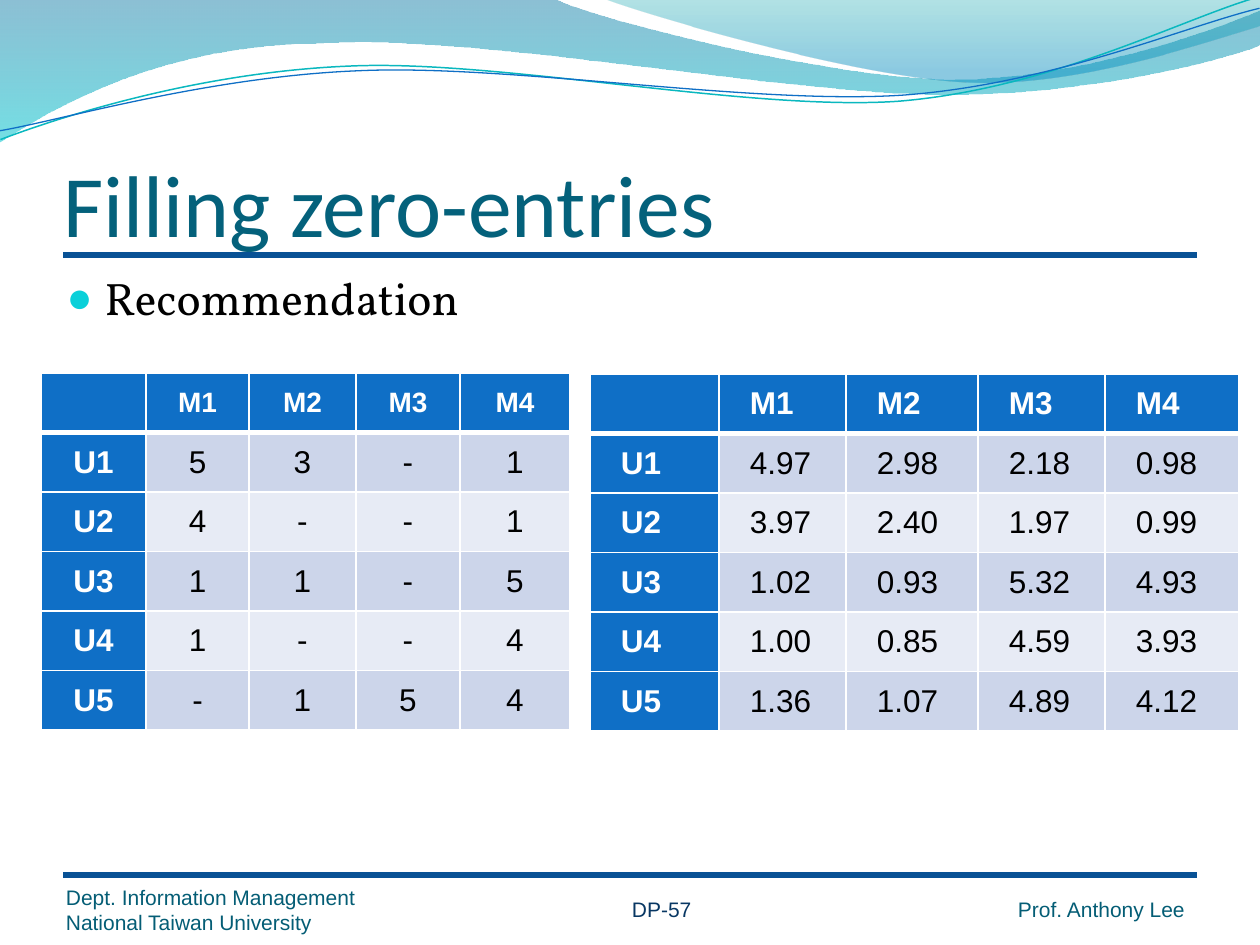
import pptx
import pptx.util
from lxml import etree
from pptx.dml.color import RGBColor
from pptx.enum.shapes import MSO_CONNECTOR
from pptx.enum.text import MSO_ANCHOR, MSO_AUTO_SIZE, PP_ALIGN
from pptx.oxml.ns import qn

COLORS = {
    "title": "04617B", "rule": "095295", "footer": "045D75", "page": "083763",
    "bullet": "0BD0D9", "text": "000000", "white": "FFFFFF",
    "head": "0F6FC6", "odd": "CCD5EA", "even": "E7EBF5",
    "teal_line": "0AB8BF", "blue_line": "0F6FC6",
    "deep_blue": "0074A1", "aqua": "00C6CF", "teal": "00A1A9", "sky": "008BBF",
}
TITLE = "Filling zero-entries"
BULLET = "Recommendation"
FOOTERS = [  # text, box, colour, margins (x, y), anchor
    ("Dept. Information Management\nNational Taiwan University",
     (66, 885, 316, 50), "footer", (0, 0), MSO_ANCHOR.BOTTOM),
    ("Prof. Anthony Lee", (1018, 872, 179, 50), "footer", (0, 0), MSO_ANCHOR.BOTTOM),
    ("DP-57", (619, 891, 110, 38), "page", (13, 6), MSO_ANCHOR.TOP),
]
RULES_Y = [255, 875]
HEADER = ["", "M1", "M2", "M3", "M4"]
TABLES = [
    {"left": 41, "top": 373, "cols": [105, 103, 107, 104, 110],
     "head_size": 16, "align": PP_ALIGN.CENTER,
     "rows": [["U1", "5", "3", "-", "1"],
              ["U2", "4", "-", "-", "1"],
              ["U3", "1", "1", "-", "5"],
              ["U4", "1", "-", "-", "4"],
              ["U5", "-", "1", "5", "4"]]},
    {"left": 590, "top": 374, "cols": [129, 127, 132, 127, 134],
     "head_size": 18, "align": PP_ALIGN.LEFT,
     "rows": [["U1", "4.97", "2.98", "2.18", "0.98"],
              ["U2", "3.97", "2.40", "1.97", "0.99"],
              ["U3", "1.02", "0.93", "5.32", "4.93"],
              ["U4", "1.00", "0.85", "4.59", "3.93"],
              ["U5", "1.36", "1.07", "4.89", "4.12"]]},
]
TABLE_HEIGHT = 357
# Outlines: a pair is a straight step, a six-tuple is a Bezier step.
# Gradient stops: position, colour, opacity in percent.
WAVES = [
    ([(0, -1), (554, -1), (600, 21, 837, 79, 955, 79), (1075, 79, 1207, 33, 1260, 11),
      (1261, 45), (1239, 55, 1096, 96, 940, 94), (784, 94, 481, 35, 324, 43),
      (163, 44, 58, 105, -1, 142)],
     [(0, "deep_blue", 45), (1, "aqua", 55)]),
    ([(604, -1), (641, 14, 859, 78, 969, 82), (1079, 87, 1211, 40, 1260, 26), (1260, 0)],
     [(0, "teal", 30), (0.8, "sky", 45)]),
]
STRAND_ROTATION = 357.3
STRANDS = [
    ([(-2, 110), (59, 90, 199, 52, 350, 53), (499, 53, 745, 117, 896, 114),
      (1049, 109, 1184, 45, 1260, 27)], "teal_line", 0.85),
    ([(-2, 101), (57, 94, 207, 57, 358, 58), (509, 58, 750, 111, 902, 108),
      (1052, 104, 1188, 52, 1262, 38)], "blue_line", 0.75),
]


def px(n):
    return pptx.util.Emu(round(n * 914400 / 126))


def rgb(name):
    return RGBColor.from_string(COLORS[name])


def sub(parent, tag, **attrs):
    return etree.SubElement(parent, qn(tag), attrs)


def set_font(p, name, size, color, bold=False):
    p.font.name, p.font.size, p.font.bold = name, pptx.util.Pt(size), bold
    p.font.color.rgb = rgb(color)


def set_margins(frame, x, y):
    frame.margin_left = frame.margin_right = px(x)
    frame.margin_top = frame.margin_bottom = px(y)


def place(sp, left, top, width, height):
    sp.left, sp.top, sp.width, sp.height = map(px, (left, top, width, height))


def add_outline(s, steps, close):
    """Build a freeform through all points, then join each Bezier step's three into a curve."""
    pts = [(px(x), px(y)) for step in steps for x, y in zip(step[::2], step[1::2])]
    builder = s.shapes.build_freeform(*pts[0])
    builder.add_line_segments(pts[1:], close=close)
    sp = builder.convert_to_shape()
    sp.shadow.inherit = False
    segments = iter(list(sp.element.iter(qn("a:lnTo"))))
    for step in steps[1:]:
        first = next(segments)
        if len(step) == 6:
            curve = etree.Element(qn("a:cubicBezTo"))
            first.addprevious(curve)
            for segment in (first, next(segments), next(segments)):
                curve.append(segment[0])
                segment.getparent().remove(segment)
    return sp


def add_wave(s, steps, stops):
    sp = add_outline(s, steps, True)
    sp.line.fill.background()
    sp.fill.gradient()
    sp.fill.gradient_angle = 270
    for stop, (position, color, _) in zip(sp.fill.gradient_stops, stops):
        stop.position = position
        stop.color.rgb = rgb(color)
    for clr, (_, _, opacity) in zip(sp.element.spPr.iter(qn("a:srgbClr")), stops):
        sub(clr, "a:alpha", val=str(opacity * 1000))


def add_strand(s, steps, color, width):
    sp = add_outline(s, steps, False)
    sp.rotation = STRAND_ROTATION
    sp.fill.background()
    sp.line.color.rgb, sp.line.width = rgb(color), pptx.util.Pt(width)


def add_rule(s, y):
    line = s.shapes.add_connector(MSO_CONNECTOR.STRAIGHT, px(63), px(y), px(1197), px(y))
    line.line.color.rgb, line.line.width = rgb("rule"), pptx.util.Pt(3)
    sub(line.element.spPr, "a:effectLst")


def add_footer(s, text, box, color, margins, anchor):
    tf = s.shapes.add_textbox(*map(px, box)).text_frame
    tf.word_wrap, tf.vertical_anchor = True, anchor
    set_margins(tf, *margins)
    tf.text = text
    for p in tf.paragraphs:
        set_font(p, "Arial", 12, color)


def set_borders(cell, widths):
    """Draw white borders, widths in points by side, ahead of the cell's fill."""
    tcPr = cell._tc.get_or_add_tcPr()
    for i, side in enumerate("LRTB"):
        ln = sub(tcPr, f"a:ln{side}", w=str(pptx.util.Pt(widths.get(side, 1))))
        sub(sub(ln, "a:solidFill"), "a:srgbClr", val=COLORS["white"])
        tcPr.insert(i, ln)


def add_ratings(s, left, top, cols, head_size, align, rows):
    grid = [HEADER] + rows
    table = s.shapes.add_table(len(grid), len(cols), px(left), px(top),
                               px(sum(cols)), px(TABLE_HEIGHT)).table
    for col, width in zip(table.columns, cols):
        col.width = px(width)
    for r, values in enumerate(grid):
        table.rows[r].height = px(TABLE_HEIGHT / len(grid))
        for c, value in enumerate(values):
            cell = table.cell(r, c)
            head = r == 0 or c == 0
            cell.text = value
            cell.vertical_anchor = MSO_ANCHOR.MIDDLE
            set_margins(cell, 31, 8)
            p = cell.text_frame.paragraphs[0]
            p.alignment = align
            set_font(p, "Arial", 18 if r else head_size, "white" if head else "text", head)
            cell.fill.solid()
            cell.fill.fore_color.rgb = rgb("head" if head else "odd" if r % 2 else "even")
            set_borders(cell, {0: {"B": 3}, 1: {"T": 3}}.get(r, {}))


def fill_title(title):
    place(title, 63, 97, 1134, 158)
    tf = title.text_frame
    tf.text = TITLE
    tf.auto_size, tf.vertical_anchor = MSO_AUTO_SIZE.NONE, MSO_ANCHOR.BOTTOM
    set_margins(tf, 0, 0)
    tf.margin_top = px(6)
    tf.paragraphs[0].alignment = PP_ALIGN.LEFT
    set_font(tf.paragraphs[0], "Calibri", 50, "title")


def fill_body(body):
    place(body, 54, 264, 1134, 111)
    tf = body.text_frame
    tf.text = BULLET
    tf.auto_size = MSO_AUTO_SIZE.NONE
    p = tf.paragraphs[0]
    set_font(p, "Vollkorn", 26, "text")
    pPr = p._p.get_or_add_pPr()
    pPr.set("marL", str(px(38)))
    pPr.set("indent", str(px(-38)))
    bullets = [sub(pPr, "a:buClr"), sub(pPr, "a:buSzPct", val="95000"),
               sub(pPr, "a:buFont", typeface="Arial"), sub(pPr, "a:buChar", char="●")]
    sub(bullets[0], "a:srgbClr", val=COLORS["bullet"])
    for i, bullet in enumerate(bullets):
        pPr.insert(i, bullet)


def main():
    prs = pptx.Presentation()
    prs.slide_width, prs.slide_height = px(1260), px(945)
    s = prs.slides.add_slide(prs.slide_layouts[1])
    for wave in WAVES:
        add_wave(s, *wave)
    for strand in STRANDS:
        add_strand(s, *strand)
    for y in RULES_Y:
        add_rule(s, y)
    for footer in FOOTERS:
        add_footer(s, *footer)
    fill_title(s.shapes.title)
    fill_body(s.placeholders[1])
    for ratings in TABLES:
        add_ratings(s, **ratings)
    prs.save("out.pptx")


if __name__ == "__main__":
    main()
